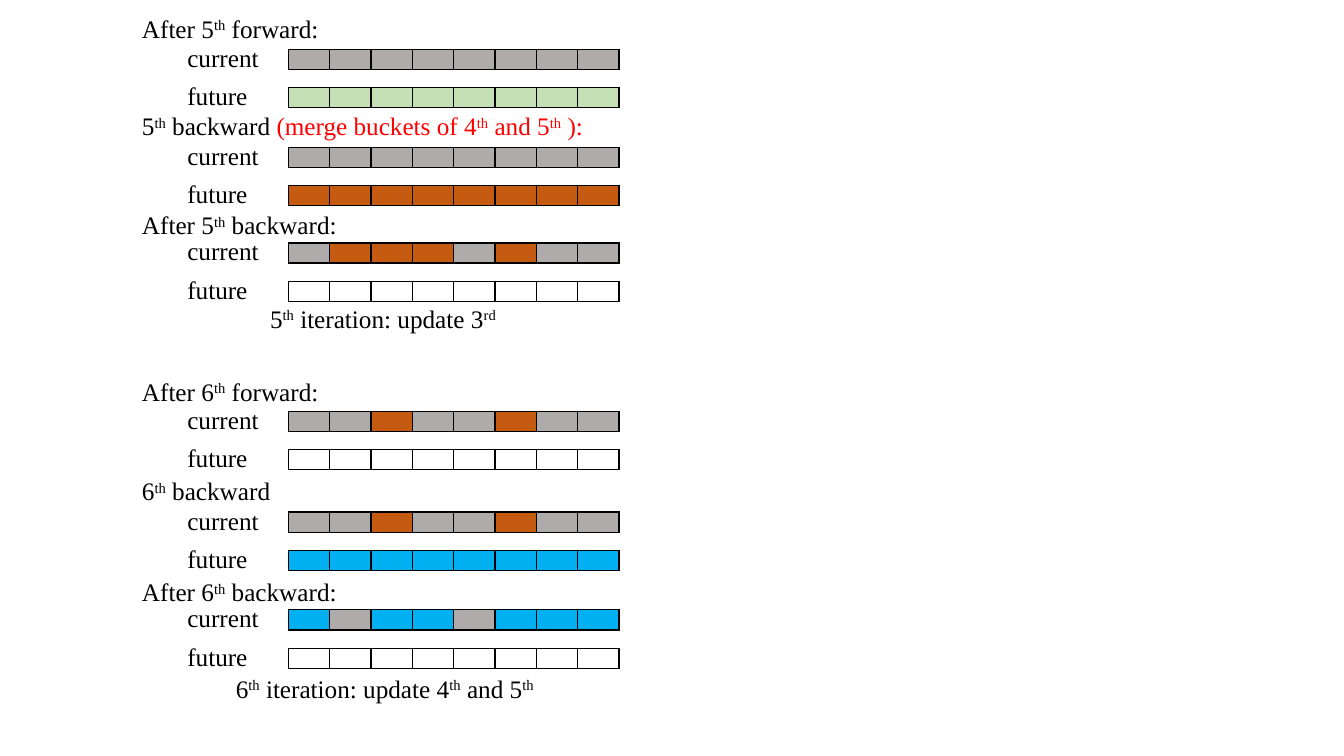
import pptx
import pptx.dml.color
import pptx.oxml
import pptx.oxml.ns
import pptx.util
from pptx.util import Inches

COLORS = {"black": "000000", "red": "FF0000", "grey": "AFABAB", "green": "C5E0B4",
          "orange": "C55A11", "blue": "00B0F0", "white": "FFFFFF"}
CODES = {"-": "grey", "G": "green", "O": "orange", "B": "blue", "W": "white"}
FONT = "Times New Roman"
BAR_LEFT, CELL_W, BAR_H = 2.86, 0.41, 0.2
LABEL_LEFT, LABEL_RISE, FUTURE_DROP = 1.76, 0.12, 0.38
HEADING_LEFT = 1.31

STAGES = [
    ("After 5^th^ forward:", "", 0.08, 2.06, 0.49, "--------", "GGGGGGGG"),
    ("5^th^ backward ", "(merge buckets of 4^th^ and 5^th^ ):", 1.05, 5.4, 1.46,
     "--------", "OOOOOOOO"),
    ("After 5^th^ backward:", "", 2.03, 2.38, 2.41, "-OOO-O--", "WWWWWWWW"),
    ("After 6^th^ forward:", "", 3.68, 2.06, 4.08, "--O--O--", "WWWWWWWW"),
    ("6^th^ backward", "", 4.67, 5.4, 5.08, "--O--O--", "BBBBBBBB"),
    ("After 6^th^ backward:", "", 5.67, 2.38, 6.05, "B-BB-BBB", "WWWWWWWW"),
]
CAPTIONS = [
    ("5^th^ iteration: update 3^rd^", 2.58, 2.96, 2.73),
    ("6^th^ iteration: update 4^th^ and 5^th^", 2.24, 6.63, 3.24),
]


def rgb(name):
    """Return the named colour."""
    return pptx.dml.color.RGBColor.from_string(COLORS[name])


def add_runs(p, text, color):
    """Add runs to a paragraph, raising the pieces between carets."""
    for i, piece in enumerate(text.split("^")):
        if not piece:
            continue
        r = p.add_run()
        r.text = piece
        r.font.name = FONT
        r.font.size = pptx.util.Pt(18)
        r.font.color.rgb = rgb(color)
        if i % 2:
            r._r.get_or_add_rPr().set("baseline", "30000")


def add_text(s, text, left, top, width, red_text=""):
    """Add a line of text with an optional red ending."""
    sp = s.shapes.add_textbox(Inches(left), Inches(top), Inches(width), Inches(0.4))
    tf = sp.text_frame
    tf.word_wrap = True
    tf.auto_size = pptx.enum.text.MSO_AUTO_SIZE.SHAPE_TO_FIT_TEXT
    add_runs(tf.paragraphs[0], text, "black")
    add_runs(tf.paragraphs[0], red_text, "red")


def format_cell(cell, color):
    """Give a bucket cell its fill, thin black borders and a small empty line."""
    cell.margin_left = cell.margin_right = cell.margin_top = cell.margin_bottom = 0
    p = cell.text_frame.paragraphs[0]
    p._p.append(pptx.oxml.parse_xml(
        f'<a:endParaRPr {pptx.oxml.ns.nsdecls("a")} sz="800"/>'))
    tcPr = cell._tc.get_or_add_tcPr()
    for side in ("lnL", "lnR", "lnT", "lnB"):
        tcPr.append(pptx.oxml.parse_xml(
            f'<a:{side} {pptx.oxml.ns.nsdecls("a")} w="12700"><a:solidFill>'
            f'<a:srgbClr val="{COLORS["black"]}"/></a:solidFill></a:{side}>'))
    cell.fill.solid()
    cell.fill.fore_color.rgb = rgb(color)


def add_bar(s, label, pattern, top):
    """Add a labelled row of buckets coloured by a pattern of codes."""
    add_text(s, label, LABEL_LEFT, top - LABEL_RISE, 1.23)
    table = s.shapes.add_table(1, len(pattern), Inches(BAR_LEFT), Inches(top),
                               Inches(CELL_W * len(pattern)), Inches(BAR_H)).table
    table.first_row = table.horz_banding = False
    for i, code in enumerate(pattern):
        table.columns[i].width = Inches(CELL_W)
        format_cell(table.cell(0, i), CODES[code])


def main():
    """Build the slide of bucket states over two iterations."""
    prs = pptx.Presentation()
    prs.slide_width, prs.slide_height = Inches(13.33), Inches(7.5)
    s = prs.slides.add_slide(prs.slide_layouts[6])
    for heading, red_text, top, width, bar_top, current, future in STAGES:
        add_text(s, heading, HEADING_LEFT, top, width, red_text)
        add_bar(s, "current", current, bar_top)
        add_bar(s, "future", future, bar_top + FUTURE_DROP)
    for caption, left, top, width in CAPTIONS:
        add_text(s, caption, left, top, width)
    prs.save("out.pptx")


if __name__ == "__main__":
    main()
